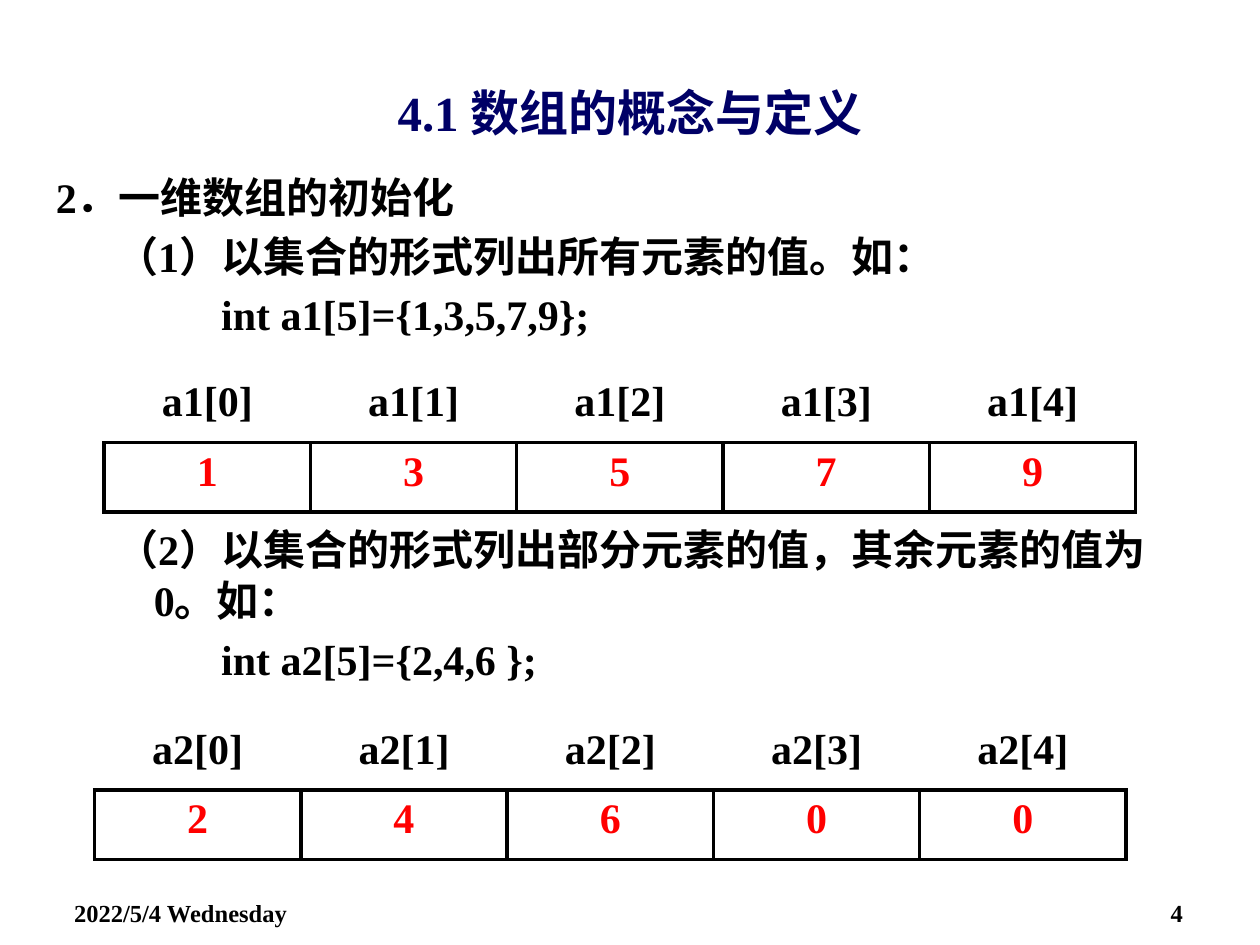
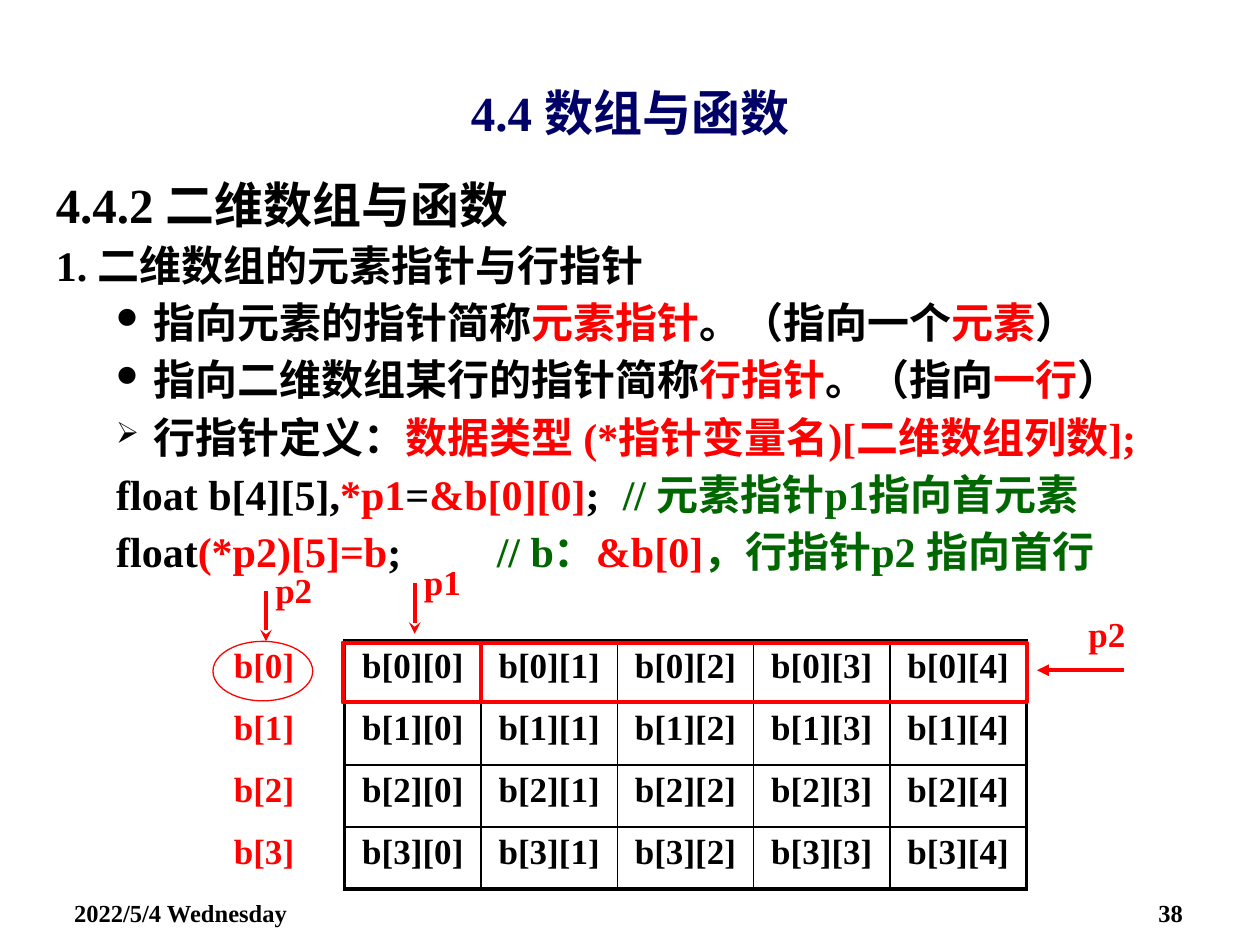
from lxml.etree import SubElement
from pptx import Presentation
from pptx.dml.color import RGBColor
from pptx.enum.shapes import MSO_CONNECTOR, MSO_SHAPE
from pptx.enum.text import MSO_ANCHOR, MSO_AUTO_SIZE, PP_ALIGN
from pptx.oxml.ns import qn
from pptx.util import Pt

FONT = "Times New Roman"
BULLET_FONT = "Wingdings"
NAVY = RGBColor(0x00, 0x00, 0x66)
BLACK = RGBColor(0x00, 0x00, 0x00)
RED = RGBColor(0xFF, 0x00, 0x00)
GREEN = RGBColor(0x00, 0x66, 0x00)
NO_STYLE = "{2D5ABB26-0587-4C30-8999-92F81FD0307C}"

# ---- Content ----
DATE = "2022/5/4 Wednesday"

# Paragraph styles: left margin, first-line indent, bullet, tab stops
HEADING = (21, -21, None, ())
POINT = (56, -21.5, None, ())
CODE = (94.5, 0, None, ())
DOT = (56, -21.5, "l", ())  # Wingdings round bullet
ARROW = (56, -21.5, "Ø", ())  # Wingdings arrowhead bullet
CODE_TAB_FAR = (0, 34.5, None, (323,))
CODE_TAB_NEAR = (0, 34.5, None, (216, 246))

# Each paragraph: style, size, space before, runs of (text, colour)
INIT_TITLE = "4.1 数组的概念与定义"
INIT_BODY = [
    (HEADING, 24, 4.8, [("2．一维数组的初始化", BLACK)]),
    (POINT, 24, 4.8, [("（1）以集合的形式列出所有元素的值。如：", BLACK)]),
    (CODE, 24, 4.8, [("int a1[5]={1,3,5,7,9};", BLACK)]),
    (POINT, 24, 105.5, [("（2）以集合的形式列出部分元素的值，其余元素的值为0。如：", BLACK)]),
    (CODE, 24, 4.8, [("int a2[5]={2,4,6 };", BLACK)]),
]
# Array name, values, left, top
ARRAYS = [
    ("a1", [1, 3, 5, 7, 9], 59.5, 213.3),
    ("a2", [2, 4, 6, 0, 0], 54, 411.8),
]

FUNC_TITLE = "4.4 数组与函数"
FUNC_BODY = [
    (HEADING, 28, 2.8, [("4.4.2 二维数组与函数", BLACK)]),
    (HEADING, 24, 2.4, [("1. 二维数组的元素指针与行指针", BLACK)]),
    (DOT, 24, 2.4, [("指向元素的指针简称", BLACK), ("元素指针", RED),
                    ("。（指向一个", BLACK), ("元素", RED), ("）", BLACK)]),
    (DOT, 24, 2.4, [("指向二维数组某行的指针简称", BLACK), ("行指针", RED),
                    ("。（指向", BLACK), ("一行", RED), ("）", BLACK)]),
    (ARROW, 24, 2.4, [("行指针定义：", BLACK),
                      ("数据类型 (*指针变量名)[二维数组列数];", RED)]),
    (CODE_TAB_FAR, 24, 2.4, [("float b[4][5],", BLACK), ("*p1", RED), ("=", BLACK),
                             ("&b[0][0]", RED), (";\t", BLACK),
                             ("// 元素指针p1指向首元素", GREEN)]),
    (CODE_TAB_NEAR, 24, 2.4, [("float", BLACK), ("(*p2)[5]=b", RED), (";\t\t", BLACK),
                              ("// b：", GREEN), ("&b[0]", RED),
                              ("，行指针p2 指向首行", GREEN)]),
]
MATRIX_ROWS, MATRIX_COLS = 4, 5
# Pointer name, label position, arrow start, arrow end, arrowhead
POINTERS = [
    ("p1", (235.2, 316.8), (237, 333.4), (237, 362.2), "stealth"),
    ("p2", (614.9, 346.3), (642.3, 383), (592.6, 383), "triangle"),
    ("p2", (150.2, 321.1), (152, 337.7), (152, 366.5), "stealth"),
]
# Shape, left, top, width, height, line width
MARKS = [
    (MSO_SHAPE.RECTANGLE, 195.8, 367.2, 79.2, 34, 2),
    (MSO_SHAPE.RECTANGLE, 195.8, 367.2, 391, 34, 2.25),
    (MSO_SHAPE.OVAL, 121.7, 366.5, 57, 34, 0.75),
]


# ---- Helpers ----
def style_run(r, size, color):
    r.font.name = FONT
    r.font.size = Pt(size)
    r.font.bold = True
    r.font.color.rgb = color


def add_line(slide, text, x, y, w, h, size, color, align=PP_ALIGN.LEFT):
    tf = slide.shapes.add_textbox(Pt(x), Pt(y), Pt(w), Pt(h)).text_frame
    tf.word_wrap = True
    tf.text = text
    p = tf.paragraphs[0]
    p.alignment = align
    style_run(p.runs[0], size, color)


def new_slide(prs, title, number):
    slide = prs.slides.add_slide(prs.slide_layouts[5])
    sp = slide.shapes.title
    sp.left, sp.top, sp.width, sp.height = Pt(36), Pt(39), Pt(648), Pt(49.5)
    tf = sp.text_frame
    tf.text = title
    tf.auto_size = MSO_AUTO_SIZE.NONE
    tf.vertical_anchor = MSO_ANCHOR.MIDDLE
    tf.paragraphs[0].alignment = PP_ALIGN.CENTER
    style_run(tf.paragraphs[0].runs[0], 28, NAVY)
    add_line(slide, DATE, 35.2, 509.8, 168, 21, 14, BLACK)
    add_line(slide, str(number), 515, 509.8, 168, 21, 14, BLACK, PP_ALIGN.RIGHT)
    return slide


def add_body(slide, paragraphs, height, line_spacing):
    tf = slide.shapes.add_textbox(Pt(24.8), Pt(94.3), Pt(669.6), Pt(height)).text_frame
    tf.word_wrap = True
    for i, (style, size, before, runs) in enumerate(paragraphs):
        margin, indent, bullet, stops = style
        p = tf.add_paragraph() if i else tf.paragraphs[0]
        p.line_spacing = line_spacing
        p.space_before = Pt(before)
        pPr = p._p.get_or_add_pPr()
        pPr.set("marL", str(Pt(margin)))
        pPr.set("indent", str(Pt(indent)))
        if bullet:
            color = SubElement(pPr, qn("a:buClr"))
            SubElement(color, qn("a:srgbClr"), val=str(BLACK))
            SubElement(pPr, qn("a:buSzPct"), val="70000")
            SubElement(pPr, qn("a:buFont"), typeface=BULLET_FONT, charset="2")
            SubElement(pPr, qn("a:buChar"), char=bullet)
        if stops:
            tabs = SubElement(pPr, qn("a:tabLst"))
            for stop in stops:
                SubElement(tabs, qn("a:tab"), pos=str(Pt(stop)), algn="l")
        for text, color in runs:
            r = p.add_run()
            r.text = text
            style_run(r, size, color)


def cell_borders(r, c, rows, cols, r0, c0, outer, inner):
    """Border widths by side; the framed area starts at row r0, column c0."""
    if r >= r0 and c >= c0:
        return {"L": outer if c == c0 else inner,
                "R": outer if c == cols - 1 else inner,
                "T": outer if r == r0 else inner,
                "B": outer if r == rows - 1 else inner}
    if r == r0 - 1:
        return {"B": outer}
    return {"R": outer} if c == c0 - 1 else {}


def add_grid(slide, x, y, widths, row_h, data, size, framed_color, label_color,
             r0=0, c0=0, outer=2.25, inner=2.25):
    rows, cols = len(data), len(widths)
    table = slide.shapes.add_table(rows, cols, Pt(x), Pt(y), Pt(sum(widths)),
                                   Pt(row_h * rows)).table
    table.first_row = table.horz_banding = False
    table._tbl.tblPr.find(qn("a:tableStyleId")).text = NO_STYLE
    for column, w in zip(table.columns, widths):
        column.width = Pt(w)
    for r, values in enumerate(data):
        table.rows[r].height = Pt(row_h)
        for c, value in enumerate(values):
            cell = table.cell(r, c)
            cell.text = str(value)
            p = cell.text_frame.paragraphs[0]
            p.alignment = PP_ALIGN.CENTER
            framed = r >= r0 and c >= c0
            style_run(p.runs[0], size, framed_color if framed else label_color)
            tcPr = cell._tc.get_or_add_tcPr()
            sides = cell_borders(r, c, rows, cols, r0, c0, outer, inner)
            for side, width in sides.items():
                ln = SubElement(tcPr, qn("a:ln" + side), w=str(Pt(width)))
                fill = SubElement(ln, qn("a:solidFill"))
                SubElement(fill, qn("a:srgbClr"), val=str(BLACK))
            cell.fill.background()


def add_arrow(slide, start, end, head):
    line = slide.shapes.add_connector(MSO_CONNECTOR.STRAIGHT,
                                      *(Pt(v) for v in start + end))
    line.line.color.rgb = RED
    line.line.width = Pt(2.25)
    SubElement(line.line._get_or_add_ln(), qn("a:tailEnd"), type=head)
    SubElement(line._element.spPr, qn("a:effectLst"))


def add_mark(slide, kind, x, y, w, h, width):
    sp = slide.shapes.add_shape(kind, Pt(x), Pt(y), Pt(w), Pt(h))
    sp.shadow.inherit = False
    sp.fill.background()
    sp.line.color.rgb = RED
    sp.line.width = Pt(width)


# ---- Slides ----
def build_init_slide(prs):
    slide = new_slide(prs, INIT_TITLE, 4)
    add_body(slide, INIT_BODY, 402.5, 1.0)
    for name, values, x, y in ARRAYS:
        labels = [f"{name}[{i}]" for i in range(len(values))]
        add_grid(slide, x, y, [117.9] * len(values), 39.7, [labels, values],
                 24, RED, BLACK, r0=1)


def build_function_slide(prs):
    slide = new_slide(prs, FUNC_TITLE, 38)
    add_body(slide, FUNC_BODY, 250, 1.05)
    matrix = [[f"b[{r}]"] + [f"b[{r}][{c}]" for c in range(MATRIX_COLS)]
              for r in range(MATRIX_ROWS)]
    add_grid(slide, 104.8, 366.2, [92.2] + [77.9] * MATRIX_COLS, 35.45, matrix,
             20, BLACK, RED, c0=1, inner=1)
    for mark in MARKS:
        add_mark(slide, *mark)
    for name, (x, y), start, end, head in POINTERS:
        add_line(slide, name, x, y, 40, 31, 20, RED)
        add_arrow(slide, start, end, head)


def main():
    prs = Presentation()
    prs.slide_width, prs.slide_height = Pt(720), Pt(540)
    build_init_slide(prs)
    build_function_slide(prs)
    prs.save("out.pptx")


if __name__ == "__main__":
    main()
